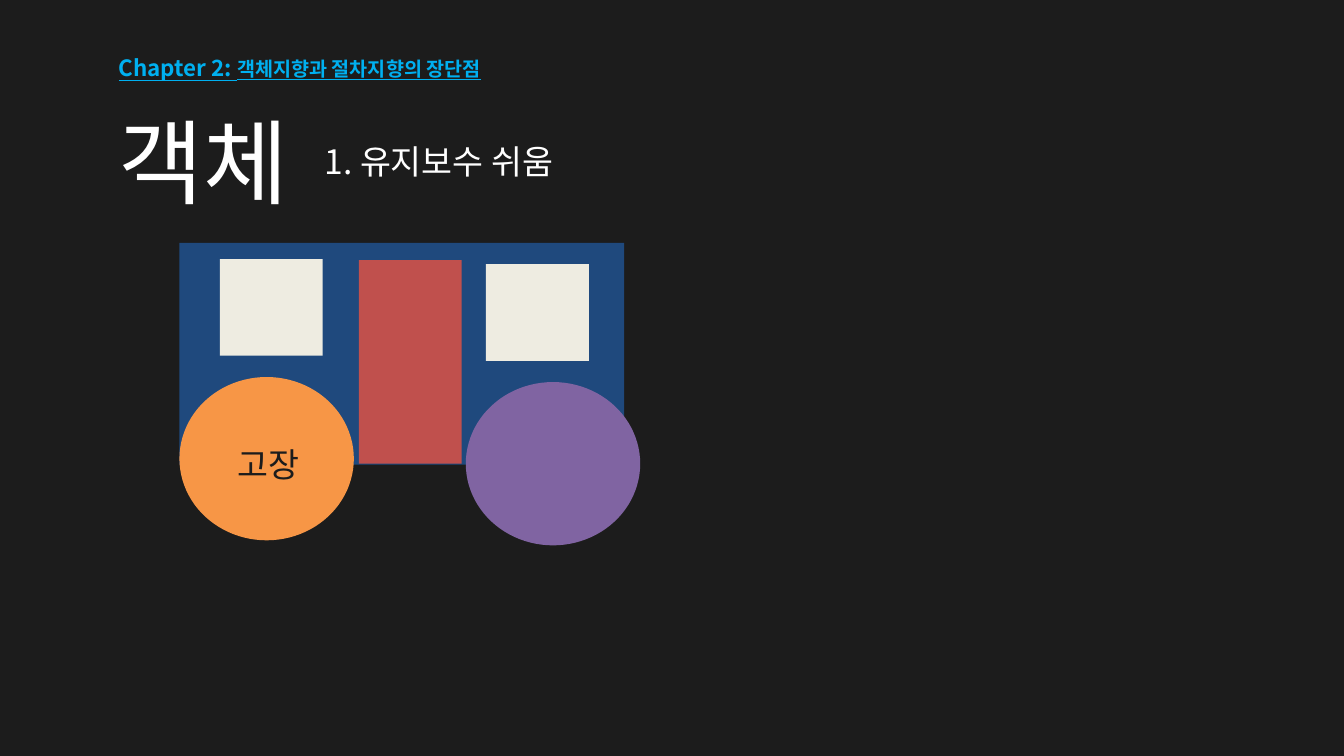
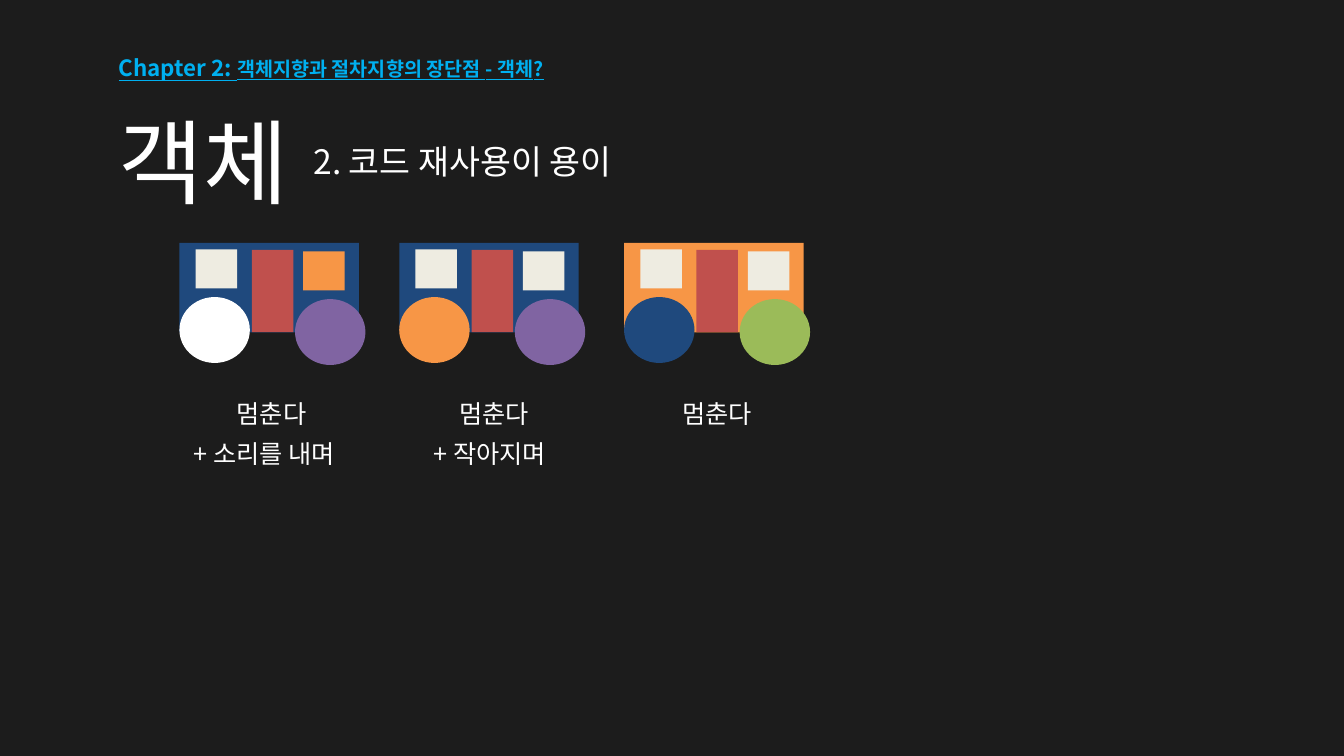
from dataclasses import dataclass

from lxml.etree import SubElement
from pptx import Presentation
from pptx.dml.color import RGBColor
from pptx.enum.shapes import MSO_SHAPE
from pptx.enum.text import MSO_ANCHOR, MSO_AUTO_SIZE, PP_ALIGN
from pptx.oxml.ns import qn
from pptx.util import Emu, Pt

EMU_PER_PX = 9144  # 100 px to the inch
TITLE_ONLY_LAYOUT = 5


@dataclass(frozen=True)
class Theme:
    font: str = "Noto Sans CJK KR"
    background: str = "1C1C1C"
    white: str = "FFFFFF"
    accent: str = "00B0F0"
    navy: str = "1F497D"
    purple: str = "8064A2"
    cream: str = "EEECE1"
    red: str = "C0504D"
    orange: str = "F79646"
    green: str = "9BBB59"
    title_size: int = 66
    point_size: int = 24
    caption_size: int = 18
    chapter_size: int = 16
    topic_size: int = 14


THEME = Theme()


@dataclass(frozen=True)
class CarColors:
    body: str = THEME.navy
    rear_wheel: str = THEME.purple
    front_window: str = THEME.cream
    door: str = THEME.red
    rear_window: str = THEME.cream
    front_wheel: str = THEME.orange


CAR_WIDTH = 441
# Outline and box of each part in a car of full width, from back to front
CAR_PARTS = {
    "body": (MSO_SHAPE.RECTANGLE, (0, 0, 441, 220)),
    "rear_wheel": (MSO_SHAPE.OVAL, (284, 138, 173, 162)),
    "front_window": (MSO_SHAPE.RECTANGLE, (40, 16, 102, 96)),
    "door": (MSO_SHAPE.RECTANGLE, (178, 17, 102, 202)),
    "rear_window": (MSO_SHAPE.RECTANGLE, (304, 21, 102, 96)),
    "front_wheel": (MSO_SHAPE.OVAL, (0, 133, 173, 162)),
}


def px(length):
    return Emu(round(length * EMU_PER_PX))


def style_paragraph(paragraph, color, size=None):
    """Set the shared font for both Latin and Korean letters."""
    font = paragraph.font
    font.color.rgb = RGBColor.from_string(color)
    font.name = THEME.font
    if size:
        font.size = Pt(size)
    properties = paragraph._p.get_or_add_pPr().find(qn("a:defRPr"))
    SubElement(properties, qn("a:ea")).set("typeface", THEME.font)


def prepare_frame(shape):
    frame = shape.text_frame
    frame.word_wrap = True
    frame.auto_size = MSO_AUTO_SIZE.SHAPE_TO_FIT_TEXT
    frame.vertical_anchor = MSO_ANCHOR.TOP
    return frame.paragraphs[0]


def add_text(slide, box, text, size, color=THEME.white):
    shape = slide.shapes.add_textbox(*map(px, box))
    paragraph = prepare_frame(shape)
    paragraph.text = text
    style_paragraph(paragraph, color, size)


def add_chapter(slide, box, topic):
    paragraph = prepare_frame(slide.shapes.add_textbox(*map(px, box)))
    for text, size in (("Chapter 2: ", THEME.chapter_size),
                       (topic, THEME.topic_size)):
        run = paragraph.add_run()
        run.text = text
        run.font.size = Pt(size)
    style_paragraph(paragraph, THEME.accent)
    paragraph.font.bold = True
    paragraph.font.underline = True


def place_title(slide, box, text):
    title = slide.shapes.title
    title.left, title.top, title.width, title.height = map(px, box)
    paragraph = prepare_frame(title)
    paragraph.text = text
    paragraph.alignment = PP_ALIGN.LEFT
    style_paragraph(paragraph, THEME.white, THEME.title_size)


def add_car(slide, left, top, width, colors):
    scale = width / CAR_WIDTH
    group = slide.shapes.add_group_shape()
    for part, (outline, (x, y, part_width, part_height)) in CAR_PARTS.items():
        box = (left + x * scale, top + y * scale,
               part_width * scale, part_height * scale)
        shape = group.shapes.add_shape(outline, *map(px, box))
        shape.shadow.inherit = False
        shape.fill.solid()
        shape.fill.fore_color.rgb = RGBColor.from_string(getattr(colors, part))
        shape.line.fill.background()


def add_object_slide(presentation, topic, point, point_left):
    """Add a slide with the chapter line, the title and one numbered point."""
    layout = presentation.slide_layouts[TITLE_ONLY_LAYOUT]
    slide = presentation.slides.add_slide(layout)
    add_chapter(slide, (108, 49, 441, 37), topic)
    place_title(slide, (108, 99, 425, 121), "객체")
    add_text(slide, (point_left, 135, 441, 50), point, THEME.point_size)
    return slide


def add_maintenance_slide(presentation):
    slide = add_object_slide(presentation, "객체지향과 절차지향의 장단점",
                             "1. 유지보수 쉬움", 312)
    left, top = 178, 241
    add_car(slide, left, top, CAR_WIDTH, CarColors())
    add_text(slide, (left + 48, top + 194, 120, 50), "고장",
             THEME.point_size, THEME.background)


def add_reuse_slide(presentation):
    slide = add_object_slide(presentation, "객체지향과 절차지향의 장단점 - 객체?",
                             "2. 코드 재사용이 용이", 301)
    cars = (
        (178, CarColors(rear_window=THEME.orange, front_wheel=THEME.white)),
        (396, CarColors()),
        (619, CarColors(body=THEME.orange, rear_wheel=THEME.green,
                        front_wheel=THEME.navy)),
    )
    for index, (left, colors) in enumerate(cars):
        add_car(slide, left, 241, 178, colors)
        add_text(slide, (225 + 221 * index, 390, 102, 40), "멈춘다",
                 THEME.caption_size)
    for left, extra in ((182, "+ 소리를 내며"), (420, "+ 작아지며")):
        add_text(slide, (left, 430, 176, 40), extra, THEME.caption_size)


def main():
    presentation = Presentation()
    presentation.slide_width, presentation.slide_height = px(1333), px(750)
    background = presentation.slide_master.background.fill
    background.solid()
    background.fore_color.rgb = RGBColor.from_string(THEME.background)
    add_maintenance_slide(presentation)
    add_reuse_slide(presentation)
    presentation.save("out.pptx")


if __name__ == "__main__":
    main()
